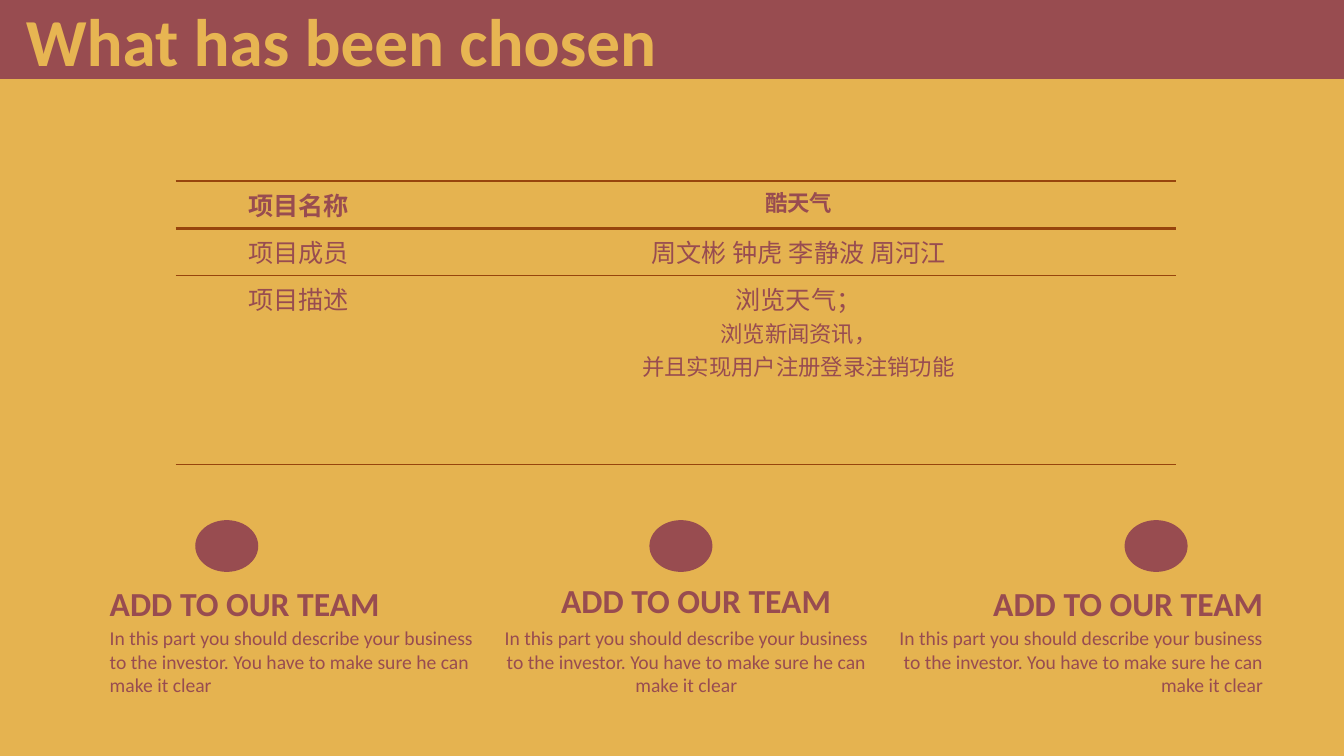
from lxml.etree import SubElement
from pptx import Presentation
from pptx.dml.color import RGBColor
from pptx.enum.shapes import MSO_SHAPE
from pptx.enum.text import MSO_ANCHOR, MSO_AUTO_SIZE, PP_ALIGN
from pptx.oxml.ns import qn
from pptx.util import Pt

WINE = RGBColor(0x98, 0x4C, 0x50)
SAND = RGBColor(0xE5, 0xB3, 0x50)
TITLE_SAND = RGBColor(0xE7, 0xB5, 0x52)
RULE_BROWN = RGBColor(0x97, 0x45, 0x0D)


def write(frame, lines, color, bold, align):
    """Fill a text frame with (text, size) lines in one colour and alignment."""
    frame.word_wrap = True
    for index, (text, size) in enumerate(lines):
        paragraph = frame.paragraphs[0] if index == 0 else frame.add_paragraph()
        paragraph.text = text
        paragraph.alignment = align
        font = paragraph.font
        font.name, font.size, font.bold = "Calibri", Pt(size), bold
        font.color.rgb = color


def set_borders(cell, top, bottom):
    """Draw the top and bottom rules of a cell, and no side rules."""
    properties = cell._tc.get_or_add_tcPr()
    for side, width in (("L", 0), ("R", 0), ("T", top), ("B", bottom)):
        line = SubElement(properties, qn("a:ln" + side), w=str(int(Pt(width))))
        if width:
            fill = SubElement(line, qn("a:solidFill"))
            SubElement(fill, qn("a:srgbClr"), val=str(RULE_BROWN))
        else:
            SubElement(line, qn("a:noFill"))


presentation = Presentation()
presentation.slide_width, presentation.slide_height = Pt(960), Pt(540)
slide = presentation.slides.add_slide(presentation.slide_layouts[5])
slide.background.fill.solid()
slide.background.fill.fore_color.rgb = SAND
shapes = slide.shapes

# Title on its bar
bar = shapes.add_shape(MSO_SHAPE.RECTANGLE, 0, 0, Pt(960), Pt(56.4))
title = shapes.title
title._element.addprevious(bar._element)
title.left, title.top, title.width, title.height = Pt(11.2), Pt(-4.3), Pt(541.6), Pt(65.4)
write(title.text_frame, [("What has been chosen", 48)], TITLE_SAND, True, PP_ALIGN.LEFT)
title.text_frame.auto_size = MSO_AUTO_SIZE.NONE
title.text_frame.vertical_anchor = MSO_ANCHOR.MIDDLE

# Project table
ROWS = [
    (33.75, 2.25, 2.25, [("项目名称", 18)], [("酷天气", 16)]),
    (33.75, 2.25, 1, [("项目成员", 18)], [("周文彬 钟虎 李静波 周河江", 18)]),
    (134.8, 1, 1, [("项目描述", 18)],
     [("浏览天气；", 18), ("浏览新闻资讯，", 16), ("并且实现用户注册登录注销功能", 16)]),
]
table = shapes.add_table(3, 2, Pt(125.5), Pt(129.3), Pt(714.2), Pt(202.3)).table
table.horz_banding = False
table.columns[0].width, table.columns[1].width = Pt(175.7), Pt(538.5)
for row_index, (height, top, bottom, *row_cells) in enumerate(ROWS):
    table.rows[row_index].height = Pt(height)
    for column_index, lines in enumerate(row_cells):
        cell = table.cell(row_index, column_index)
        write(cell.text_frame, lines, WINE, row_index == 0, PP_ALIGN.CENTER)
        set_borders(cell, top, bottom)
        cell.fill.background()

# Three team columns: alignment, icon centre, heading left, top and width
HEADING = "ADD TO OUR TEAM"
BODY = ("In this part you should describe your business to the investor. "
        "You have to make sure he can make it clear")
COLUMNS = [
    (PP_ALIGN.LEFT, 162, 71.3, 412.6, 281.5),
    (PP_ALIGN.CENTER, 486.4, 356.4, 410.4, 281.5),
    (PP_ALIGN.RIGHT, 825.8, 634.3, 412.6, 275),
]
ICON_WIDTH = 45
icons = []
for index, (align, center, left, top, width) in enumerate(COLUMNS):
    icons.append(shapes.add_shape(MSO_SHAPE.OVAL, Pt(center - ICON_WIDTH / 2), Pt(371.5),
                                  Pt(ICON_WIDTH), Pt(37)))
    heading = shapes.add_textbox(Pt(left), Pt(top), Pt(width), Pt(36))
    write(heading.text_frame, [(HEADING, 24)], WINE, True, align)
    body = shapes.add_textbox(Pt(71.3 + 281.5 * index), Pt(443.5), Pt(275), Pt(58.3))
    write(body.text_frame, [(BODY, 14)], WINE, False, align)

for shape in [bar, *icons]:
    shape.shadow.inherit = False
    shape.fill.solid()
    shape.fill.fore_color.rgb = WINE
    shape.line.fill.background()

presentation.save("out.pptx")
